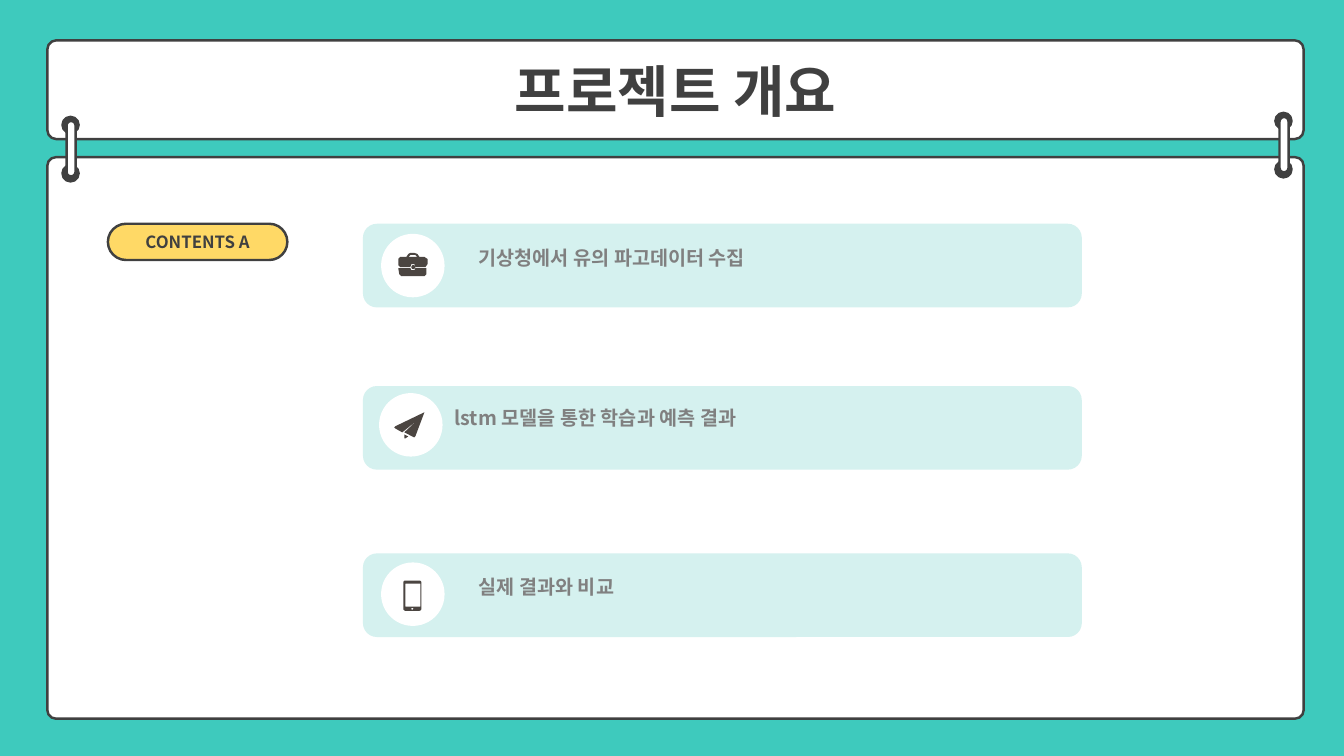
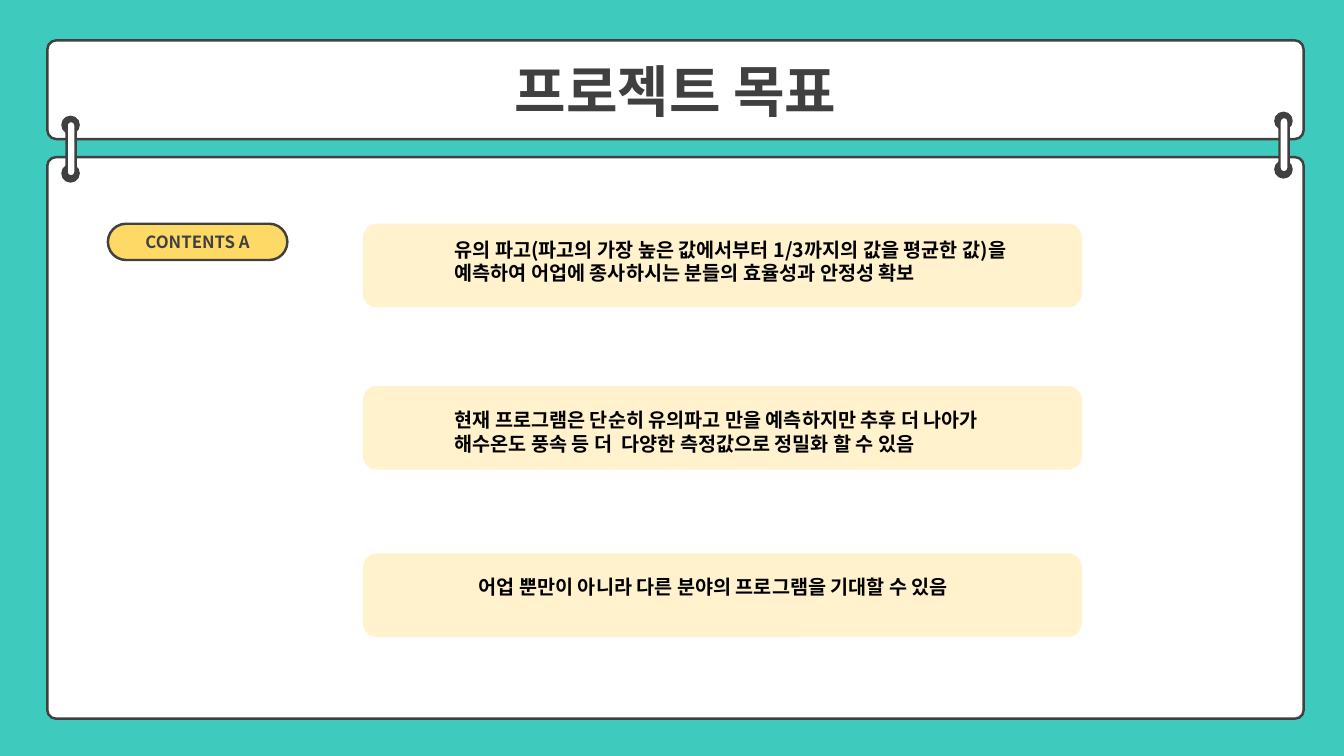
import dataclasses
import math
from typing import Optional, Union

import pptx
import pptx.dml.color
import pptx.enum.shapes
import pptx.enum.text
import pptx.oxml.ns
import pptx.shapes.autoshape
import pptx.shapes.shapetree
import pptx.slide
import pptx.text.text
import pptx.util
from lxml import etree
from pptx.dml.color import RGBColor
from pptx.enum.shapes import MSO_SHAPE
from pptx.enum.text import MSO_ANCHOR, MSO_AUTO_SIZE, PP_ALIGN
from pptx.util import Inches

TEAL = RGBColor(0x3E, 0xCA, 0xBD)
PALE_TEAL = RGBColor(0xD5, 0xF1, 0xEF)
YELLOW = RGBColor(0xFF, 0xD9, 0x66)
CREAM = RGBColor(0xFF, 0xF2, 0xCC)
WHITE = RGBColor(0xFF, 0xFF, 0xFF)
BLACK = RGBColor(0x00, 0x00, 0x00)
CHARCOAL = RGBColor(0x40, 0x40, 0x40)
GRAY = RGBColor(0x80, 0x80, 0x80)
ICON_BROWN = RGBColor(0x4B, 0x45, 0x41)

FONT = "Noto Sans CJK KR"
OUTLINE = 1.75
CARD_LEFT, CARD_WIDTH, CARD_HEIGHT = 3.6, 7.13, 0.83
CARD_TOPS = (2.22, 3.83, 5.49)
BADGE_SIZE = 0.63
RING_POSITIONS = ((0.62, 1.16), (12.65, 1.12))

Shapes = Union[pptx.shapes.shapetree.SlideShapes, pptx.shapes.shapetree.GroupShapes]
Contour = list[tuple[float, float]]
Outline = list[Contour]


@dataclasses.dataclass(frozen=True)
class Box:
    left: float
    top: float
    width: float
    height: float

    def lengths(self) -> list[int]:
        return [Inches(value) for value in dataclasses.astuple(self)]


@dataclasses.dataclass(frozen=True)
class Badge:
    left: float
    top: float
    icon: list[Outline]


@dataclasses.dataclass(frozen=True)
class Card:
    message: str
    message_box: Box
    line_spacing: float = 1.0
    badge: Optional[Badge] = None


@dataclasses.dataclass(frozen=True)
class Page:
    title: str
    card_color: RGBColor
    message_color: RGBColor
    cards: list[Card]


def rounded(box: Box, radius: float) -> Contour:
    right, bottom = box.left + box.width, box.top + box.height
    centers = (
        (right - radius, bottom - radius),
        (box.left + radius, bottom - radius),
        (box.left + radius, box.top + radius),
        (right - radius, box.top + radius),
    )
    return [
        (x + radius * math.cos(angle), y + radius * math.sin(angle))
        for quarter, (x, y) in enumerate(centers)
        for angle in (math.radians(quarter * 90 + step) for step in (0, 30, 60, 90))
    ]


BRIEFCASE: list[Outline] = [
    [rounded(Box(0.3, 0.31, 0.04, 0.04), 0.02)],
    [[(0.17, 0.34), (0.29, 0.34), (0.3, 0.36), (0.33, 0.36), (0.34, 0.34),
      (0.45, 0.34), (0.45, 0.4), (0.43, 0.42), (0.2, 0.42), (0.18, 0.4)]],
    [
        [(0.29, 0.19), (0.33, 0.19), (0.36, 0.2), (0.38, 0.23), (0.43, 0.23),
         (0.46, 0.25), (0.46, 0.3), (0.44, 0.33), (0.34, 0.33), (0.33, 0.3),
         (0.3, 0.3), (0.29, 0.33), (0.19, 0.33), (0.17, 0.31), (0.17, 0.25),
         (0.19, 0.23), (0.25, 0.23), (0.27, 0.2)],
        [(0.29, 0.21), (0.27, 0.23), (0.36, 0.23), (0.34, 0.21)],
    ],
]
PAPER_PLANE: list[Outline] = [
    [
        [(0.25, 0.41), (0.29, 0.43), (0.26, 0.45), (0.25, 0.45)],
        [(0.45, 0.19), (0.36, 0.43), (0.35, 0.44), (0.25, 0.39), (0.39, 0.26),
         (0.23, 0.39), (0.16, 0.35), (0.15, 0.34), (0.16, 0.33)],
    ]
]
PHONE: list[Outline] = [
    [
        rounded(Box(0.22, 0.18, 0.18, 0.3), 0.02),
        [(0.24, 0.21), (0.24, 0.44), (0.39, 0.44), (0.39, 0.21)],
        rounded(Box(0.3, 0.45, 0.02, 0.02), 0.01),
    ]
]

PAGES = [
    Page("프로젝트 개요", PALE_TEAL, GRAY, [
        Card("기상청에서 유의 파고데이터 수집", Box(4.65, 2.27, 5.54, 0.41), 1.5,
             Badge(3.78, 2.32, BRIEFCASE)),
        Card("lstm 모델을 통한 학습과 예측 결과", Box(4.41, 3.86, 5.79, 0.41), 1.5,
             Badge(3.76, 3.9, PAPER_PLANE)),
        Card("실제 결과와 비교", Box(4.65, 5.54, 5.54, 0.41), 1.5,
             Badge(3.78, 5.58, PHONE)),
    ]),
    Page("프로젝트 목표", CREAM, BLACK, [
        Card("유의 파고(파고의 가장 높은 값에서부터 1/3까지의 값을 평균한 값)을 "
             "예측하여 어업에 종사하시는 분들의 효율성과 안정성 확보",
             Box(4.41, 2.31, 6.05, 0.57)),
        Card("현재 프로그램은 단순히 유의파고 만을 예측하지만 추후 더 나아가 "
             "해수온도 풍속 등 더  다양한 측정값으로 정밀화 할 수 있음",
             Box(4.41, 4, 5.79, 0.81)),
        Card("어업 뿐만이 아니라 다른 분야의 프로그램을 기대할 수 있음",
             Box(4.65, 5.54, 5.54, 0.76), 1.5),
    ]),
]


def write_text(
    frame: pptx.text.text.TextFrame,
    text: str,
    *,
    size: float,
    color: RGBColor,
    align: PP_ALIGN = PP_ALIGN.LEFT,
    anchor: MSO_ANCHOR = MSO_ANCHOR.TOP,
    line_spacing: float = 1.0,
) -> None:
    frame.word_wrap = True
    frame.vertical_anchor = anchor
    paragraph = frame.paragraphs[0]
    paragraph.alignment = align
    paragraph.line_spacing = line_spacing
    run = paragraph.add_run()
    run.text = text
    run.font.name = FONT
    run.font.size = pptx.util.Pt(size)
    run.font.bold = True
    run.font.color.rgb = color
    east_asian = etree.SubElement(run._r.get_or_add_rPr(), pptx.oxml.ns.qn("a:ea"))
    east_asian.set("typeface", FONT)


def paint(
    shape: pptx.shapes.autoshape.Shape, fill: RGBColor, line: Optional[RGBColor] = None
) -> None:
    shape.shadow.inherit = False
    shape.fill.solid()
    shape.fill.fore_color.rgb = fill
    if line is None:
        shape.line.fill.background()
    else:
        shape.line.color.rgb = line
        shape.line.width = pptx.util.Pt(OUTLINE)


def draw_panel(
    shapes: Shapes,
    box: Box,
    fill: RGBColor,
    *,
    line: Optional[RGBColor] = None,
    rounding: Optional[float] = None,
) -> pptx.shapes.autoshape.Shape:
    panel = shapes.add_shape(MSO_SHAPE.ROUNDED_RECTANGLE, *box.lengths())
    if rounding is not None:
        panel.adjustments[0] = rounding
    paint(panel, fill, line)
    return panel


def draw_ring(shapes: Shapes, left: float, top: float) -> None:
    ring = shapes.add_group_shape().shapes
    for hole_top in (top, top + 0.48):
        draw_panel(ring, Box(left, hole_top, 0.16, 0.16), CHARCOAL,
                   line=CHARCOAL, rounding=0.5)
    draw_panel(ring, Box(left + 0.04, top + 0.04, 0.09, 0.55), WHITE,
               line=CHARCOAL, rounding=0.5)


def draw_badge(shapes: Shapes, badge: Badge) -> None:
    group = shapes.add_group_shape().shapes
    disc = group.add_shape(
        MSO_SHAPE.OVAL, *Box(badge.left, badge.top, BADGE_SIZE, BADGE_SIZE).lengths()
    )
    paint(disc, WHITE)
    for outline in badge.icon:
        contours = [
            [(Inches(badge.left + x), Inches(badge.top + y)) for x, y in contour]
            for contour in outline
        ]
        builder = group.build_freeform(*contours[0][0])
        for index, contour in enumerate(contours):
            if index:
                builder.move_to(*contour[0])
            builder.add_line_segments(contour[1:], close=True)
        paint(builder.convert_to_shape(), ICON_BROWN)


def draw_board(shapes: Shapes, title: str) -> None:
    header = draw_panel(shapes, Box(0.47, 0.4, 12.46, 0.98), WHITE,
                        line=CHARCOAL, rounding=0.09)
    write_text(header.text_frame, title, size=40, color=CHARCOAL,
               align=PP_ALIGN.CENTER, anchor=MSO_ANCHOR.MIDDLE)
    draw_panel(shapes, Box(0.47, 1.56, 12.46, 5.57), WHITE,
               line=CHARCOAL, rounding=0.015)
    for left, top in RING_POSITIONS:
        draw_ring(shapes, left, top)
    section = draw_panel(shapes, Box(1.07, 2.22, 1.78, 0.36), YELLOW,
                         line=CHARCOAL, rounding=0.5)
    write_text(section.text_frame, "CONTENTS A", size=12, color=CHARCOAL,
               align=PP_ALIGN.CENTER, anchor=MSO_ANCHOR.MIDDLE)


def draw_card(shapes: Shapes, top: float, card: Card, page: Page) -> None:
    draw_panel(shapes, Box(CARD_LEFT, top, CARD_WIDTH, CARD_HEIGHT), page.card_color)
    if card.badge:
        draw_badge(shapes, card.badge)
    message = shapes.add_textbox(*card.message_box.lengths()).text_frame
    write_text(message, card.message, size=14, color=page.message_color,
               line_spacing=card.line_spacing)
    message.auto_size = MSO_AUTO_SIZE.SHAPE_TO_FIT_TEXT


def draw_page(slide: pptx.slide.Slide, page: Page) -> None:
    draw_board(slide.shapes, page.title)
    for top, card in zip(CARD_TOPS, page.cards):
        draw_card(slide.shapes, top, card, page)


def main() -> None:
    deck = pptx.Presentation()
    deck.slide_width = Inches(13.33)
    deck.slide_height = Inches(7.5)
    backdrop = deck.slide_master.background.fill
    backdrop.solid()
    backdrop.fore_color.rgb = TEAL
    for page in PAGES:
        draw_page(deck.slides.add_slide(deck.slide_layouts[6]), page)
    deck.save("out.pptx")


main()
